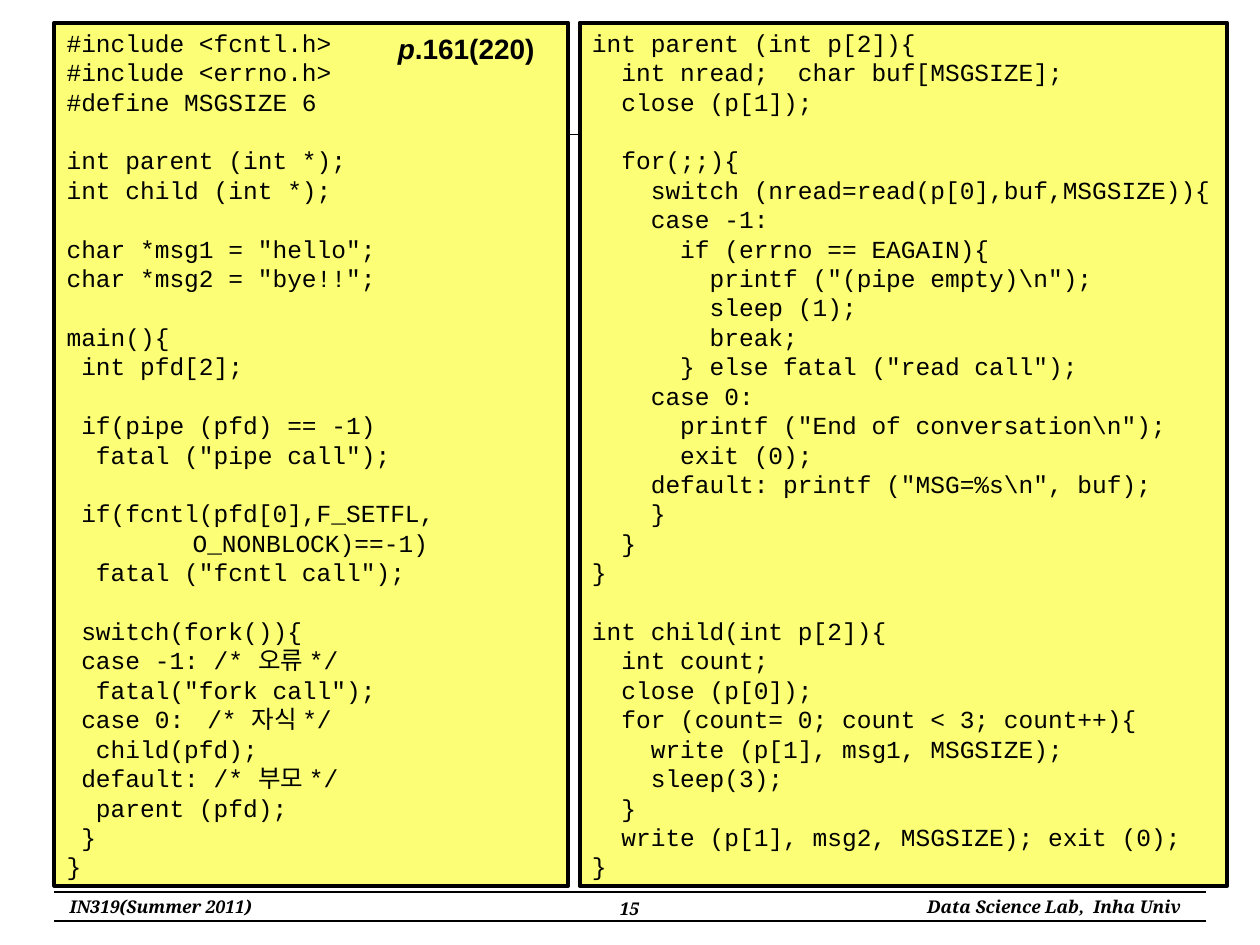
from pptx import Presentation
from pptx.dml.color import RGBColor
from pptx.enum.shapes import MSO_CONNECTOR, MSO_SHAPE
from pptx.enum.text import MSO_ANCHOR, PP_ALIGN
from pptx.oxml.ns import qn
from pptx.util import Inches, Pt
from lxml.etree import SubElement

BLACK = RGBColor(0x00, 0x00, 0x00)
YELLOW = RGBColor(0xFC, 0xFF, 0x75)
LINE_PITCH = Pt(16.8)

MAIN_CODE = """\
#include <fcntl.h>
#include <errno.h>
#define MSGSIZE 6

int parent (int *);
int child (int *);

char *msg1 = "hello";
char *msg2 = "bye!!";

main(){
 int pfd[2];

 if(pipe (pfd) == -1)
  fatal ("pipe call");

 if(fcntl(pfd[0],F_SETFL,
\t\tO_NONBLOCK)==-1)
  fatal ("fcntl call");

 switch(fork()){
 case -1: /* 오류 */
  fatal("fork call");
 case 0:\t /* 자식 */
  child(pfd);
 default: /* 부모 */
  parent (pfd);
 }
}"""

PROCESS_CODE = """\
int parent (int p[2]){
  int nread;  char buf[MSGSIZE];
  close (p[1]);

  for(;;){
    switch (nread=read(p[0],buf,MSGSIZE)){
    case -1:
      if (errno == EAGAIN){
        printf ("(pipe empty)\\n");
        sleep (1);
        break;
      } else fatal ("read call");
    case 0:
      printf ("End of conversation\\n");
      exit (0);
    default: printf ("MSG=%s\\n", buf);
    }
  }
}

int child(int p[2]){
  int count;
  close (p[0]);
  for (count= 0; count < 3; count++){
    write (p[1], msg1, MSGSIZE);
    sleep(3);
  }
  write (p[1], msg2, MSGSIZE); exit (0);
}"""

prs = Presentation()
prs.slide_width, prs.slide_height = Inches(10), Inches(7.5)
slide = prs.slides.add_slide(prs.slide_layouts[6])
shapes = slide.shapes

for y in (1.07, 7.08, 7.31):
    rule = shapes.add_connector(
        MSO_CONNECTOR.STRAIGHT, Inches(0.43), Inches(y), Inches(9.57), Inches(y))
    rule.line.color.rgb = BLACK
    rule.line.width = Pt(0.75)
    SubElement(rule.element.spPr, qn("a:effectLst"))

for left, width, code in ((0.43, 4.08, MAIN_CODE), (4.6, 5.14, PROCESS_CODE)):
    panel = shapes.add_shape(
        MSO_SHAPE.RECTANGLE, Inches(left), Inches(0.18), Inches(width), Inches(6.85))
    panel.shadow.inherit = False
    panel.fill.solid()
    panel.fill.fore_color.rgb = YELLOW
    panel.line.color.rgb = BLACK
    panel.line.width = Pt(2.25)
    frame = panel.text_frame
    frame.word_wrap = False
    frame.vertical_anchor = MSO_ANCHOR.MIDDLE
    for b, block in enumerate(code.split("\n\n")):
        for i, code_line in enumerate(block.split("\n")):
            first = b == 0 and i == 0
            para = frame.paragraphs[0] if first else frame.add_paragraph()
            para.text = code_line
            para.alignment = PP_ALIGN.LEFT
            para.line_spacing = LINE_PITCH
            para.space_before = LINE_PITCH if b and i == 0 else Pt(0)
            para.font.name = "Courier New"
            para.font.size = Pt(14)
            para.font.color.rgb = BLACK


def add_label(left, top, width, height, align, font_name, size, *parts):
    box = shapes.add_textbox(Inches(left), Inches(top), Inches(width), Inches(height))
    box.text_frame.word_wrap = False
    para = box.text_frame.paragraphs[0]
    para.alignment = align
    para.font.name = font_name
    para.font.size = Pt(size)
    para.font.bold = True
    para.font.color.rgb = BLACK
    for text, italic in parts:
        run = para.add_run()
        run.text = text
        run.font.italic = italic


add_label(0.41, 7.06, 1.73, 0.27, PP_ALIGN.CENTER, "Noto Serif", 10,
          ("IN319(Summer 2011)", True))
add_label(7.16, 7.06, 2.31, 0.27, PP_ALIGN.RIGHT, "Noto Serif", 10,
          ("Data Science Lab,  Inha Univ", True))
add_label(3.83, 7.08, 2.33, 0.31, PP_ALIGN.CENTER, "Noto Serif", 10, ("15", True))
add_label(3.05, 0.2, 1.3, 0.37, PP_ALIGN.CENTER, "Arial", 16,
          ("p", True), (".161(220)", False))

prs.save("out.pptx")
